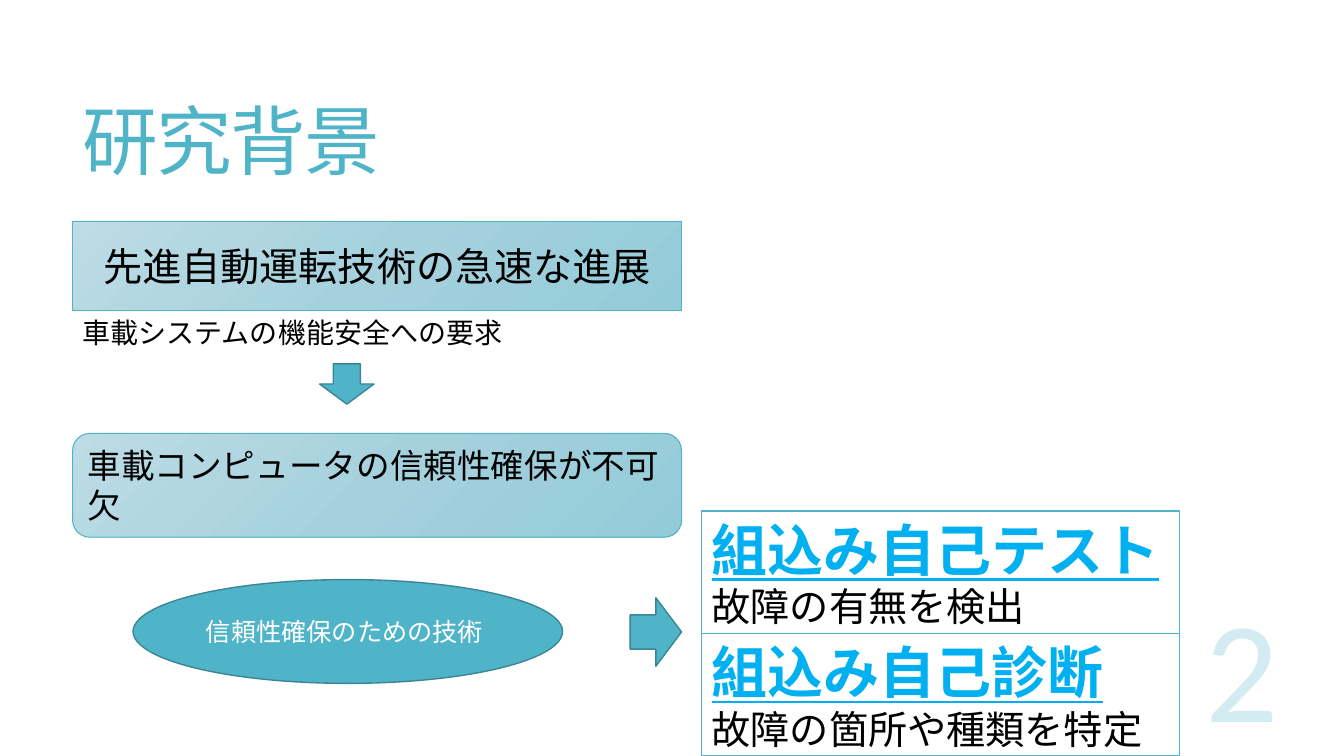
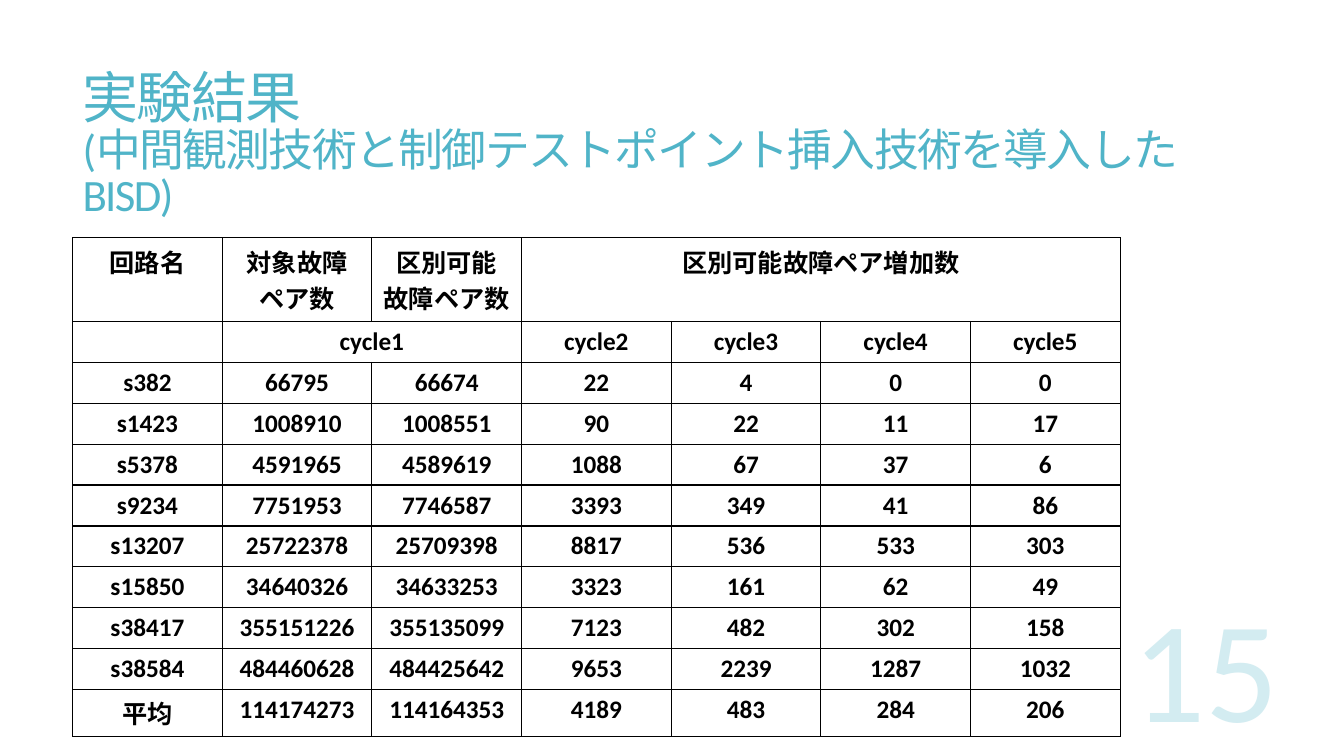
from copy import deepcopy

from lxml.etree import SubElement
from pptx import Presentation
from pptx.dml.color import RGBColor
from pptx.enum.shapes import MSO_SHAPE
from pptx.enum.text import MSO_ANCHOR, PP_ALIGN
from pptx.oxml import parse_xml
from pptx.oxml.ns import nsdecls, qn
from pptx.util import Inches, Pt

COLS, ROWS = 133.3, 75
TEAL, EDGE, BLACK, WHITE = "50B4C8", "3B8594", "000000", "FFFFFF"
SKY, PALE = "00B0F0", "D3ECF1"
GRADIENT = ((0, "BDDCE5"), (50, "A5D1DD"), (100, "94CBD9"))
TITLE_BOX = (7.2, 5.5, 117.8, 18.1)
NUMBER_BOX = (97.8, 56.5, 30, 18)

HEADERS = [
    ["回路名", "対象故障\nペア数", "区別可能\n故障ペア数", "区別可能故障ペア増加数", "", "", ""],
    ["", "cycle1", "", "cycle2", "cycle3", "cycle4", "cycle5"],
]
MERGES = [((0, 3), (0, 6)), ((1, 1), (1, 2))]
RESULTS = [
    ["s382", 66795, 66674, 22, 4, 0, 0],
    ["s1423", 1008910, 1008551, 90, 22, 11, 17],
    ["s5378", 4591965, 4589619, 1088, 67, 37, 6],
    ["s9234", 7751953, 7746587, 3393, 349, 41, 86],
    ["s13207", 25722378, 25709398, 8817, 536, 533, 303],
    ["s15850", 34640326, 34633253, 3323, 161, 62, 49],
    ["s38417", 355151226, 355135099, 7123, 482, 302, 158],
    ["s38584", 484460628, 484425642, 9653, 2239, 1287, 1032],
    ["平均", 114174273, 114164353, 4189, 483, 284, 206],
]
HEADER_ROW, AVERAGE_ROW = 8.3, 4.7
CARDS = [("組込み自己テスト", "故障の有無を検出"),
         ("組込み自己診断", "故障の箇所や種類を特定")]


def rgb(value):
    """Turn a hex string into a colour."""
    return RGBColor.from_string(value)


def grid(*cells):
    """Turn grid columns and rows, a tenth of an inch each, into lengths."""
    return [Inches(n / 10) for n in cells]


def within(box, col, row, w, h):
    """Return the box at an offset from the corner of another box."""
    return box[0] + col, box[1] + row, w, h


def font(size, color=BLACK, **more):
    """Return the format values of a run."""
    return {"name": "Calibri", "size": Pt(size), "color": color, **more}


def set_font(r, fmt):
    """Apply format values to a run."""
    for key, value in fmt.items():
        if key == "color":
            r.font.color.rgb = rgb(value)
        elif key == "spc":
            r._r.get_or_add_rPr().set("spc", str(value))
        else:
            setattr(r.font, key, value)


def write(tf, paragraphs, align=PP_ALIGN.LEFT, spacing=None):
    """Fill a frame with paragraphs, each a list of (text, format) lines."""
    for i, lines in enumerate(paragraphs):
        p = tf.paragraphs[0] if i == 0 else tf.add_paragraph()
        p.alignment = align
        if spacing:
            p.line_spacing = spacing
        for j, (text, fmt) in enumerate(lines):
            if j:
                p.add_line_break()
            r = p.add_run()
            r.text = text
            set_font(r, fmt)


def add_text(s, box, paragraphs, anchor=MSO_ANCHOR.TOP, margin=0.05, **layout):
    """Add a wrapping text box."""
    tf = s.shapes.add_textbox(*grid(*box)).text_frame
    values = {"word_wrap": True, "vertical_anchor": anchor,
              "margin_top": Inches(margin), "margin_bottom": Inches(margin)}
    for key, value in values.items():
        setattr(tf, key, value)
    write(tf, paragraphs, **layout)


def blend(sp):
    """Fill a shape with the shared diagonal gradient."""
    sp.fill.gradient()
    sp.fill.gradient_angle = 315
    stops = sp._element.spPr.find(qn("a:gradFill")).find(qn("a:gsLst"))
    stops.insert(1, deepcopy(stops[0]))
    for stop, (position, color) in zip(sp.fill.gradient_stops, GRADIENT):
        stop.position = position / 100
        stop.color.rgb = rgb(color)


def add_box(s, kind, box, paragraphs=(), fill=TEAL, line=EDGE, width=1, **layout):
    """Add a preset shape, with the gradient when fill is None."""
    sp = s.shapes.add_shape(kind, *grid(*box))
    sp.shadow.inherit = False
    if fill:
        sp.fill.solid()
        sp.fill.fore_color.rgb = rgb(fill)
    else:
        blend(sp)
    sp.line.color.rgb = rgb(line)
    sp.line.width = Pt(width)
    tf = sp.text_frame
    tf.word_wrap, tf.vertical_anchor = True, MSO_ANCHOR.MIDDLE
    write(tf, paragraphs, **layout)


def base_slide(prs, number, title):
    """Add a slide with its title lines and large page number."""
    s = prs.slides.add_slide(prs.slide_layouts[6])
    lines = [(text, font(size, TEAL, spc=-120)) for text, size in title]
    add_text(s, TITLE_BOX, [lines], MSO_ANCHOR.MIDDLE, spacing=0.85)
    add_text(s, NUMBER_BOX, [[(str(number), font(103, PALE))]],
             MSO_ANCHOR.BOTTOM, margin=0, align=PP_ALIGN.RIGHT)
    return s


def demand_flow(s, box):
    """Draw the chain from driving technology to reliability methods."""
    w = box[2]
    panel = {"fill": None, "line": TEAL, "width": 0.75}
    add_text(s, within(box, 0, 8.8, w, 4.4),
             [[("車載システムの機能安全への要求", font(20))]])
    add_box(s, MSO_SHAPE.RECTANGLE, within(box, 0, 0, w, 8.8),
            [[("先進自動運転技術の急速な進展", font(28))]],
            align=PP_ALIGN.CENTER, **panel)
    add_box(s, MSO_SHAPE.DOWN_ARROW, within(box, 24.5, 14.1, 5.4, 4))
    add_box(s, MSO_SHAPE.ROUNDED_RECTANGLE, within(box, 0, 21, w, 10.3),
            [[("車載コンピュータの信頼性確保が不可欠", font(24))]], **panel)
    add_box(s, MSO_SHAPE.OVAL, within(box, 6, 35.5, 42.6, 10.3),
            [[("信頼性確保のための技術", font(18, WHITE))]])


def method_cards(s, box):
    """Draw the arrow and the stacked cards of the two methods."""
    h = box[3] / len(CARDS)
    add_box(s, MSO_SHAPE.RIGHT_ARROW, within(box, 0, 8.6, 5.1, 6.8))
    for i, (name, purpose) in enumerate(CARDS):
        add_box(s, MSO_SHAPE.RECTANGLE, within(box, 7.1, i * h, box[2] - 7.1, h),
                [[(name, font(40, SKY, bold=True, underline=True))],
                 [(purpose, font(28))]], fill=WHITE, line=TEAL)


def outline(cell):
    """Draw thin black borders around a cell."""
    tcPr = cell._tc.get_or_add_tcPr()
    for i, side in enumerate(("lnL", "lnR", "lnT", "lnB")):
        ln = parse_xml(f'<a:{side} {nsdecls("a")} w="12700"/>')
        fill = SubElement(ln, qn("a:solidFill"))
        SubElement(fill, qn("a:srgbClr")).set("val", BLACK)
        tcPr.insert(i, ln)


def result_table(s, box):
    """Draw the table of fault pairs for each circuit."""
    rows = HEADERS + RESULTS
    count = len(rows[0])
    middle = len(rows) - 2
    body = (box[3] - HEADER_ROW - AVERAGE_ROW) / middle
    heights = [HEADER_ROW] + [body] * middle + [AVERAGE_ROW]
    table = s.shapes.add_table(len(rows), count, *grid(*box)).table
    table.first_row = table.horz_banding = False
    for column in table.columns:
        column.width = Inches(box[2] / count / 10)
    for row, height in zip(table.rows, grid(*heights)):
        row.height = height
    for i, values in enumerate(rows):
        for j, value in enumerate(values):
            cell = table.cell(i, j)
            cell.fill.background()
            outline(cell)
            if value != "":
                write(cell.text_frame,
                      [[(text, font(18, bold=True))] for text in str(value).split("\n")],
                      align=PP_ALIGN.CENTER)
    for first, last in MERGES:
        table.cell(*first).merge(table.cell(*last))


def main():
    """Build and save the two slides."""
    prs = Presentation()
    prs.slide_width, prs.slide_height = grid(COLS, ROWS)
    s = base_slide(prs, 2, [("研究背景", 54)])
    demand_flow(s, (7.2, 22, 60.4, 45.8))
    method_cards(s, (62.5, 50.7, 54.5, 24.3))
    s = base_slide(prs, 15, [
        ("実験結果", 40),
        ("(中間観測技術と制御テストポイント挿入技術を導入したBISD)", 32)])
    result_table(s, (7.2, 23.6, 103.9, 49.5))
    prs.save("out.pptx")


if __name__ == "__main__":
    main()
